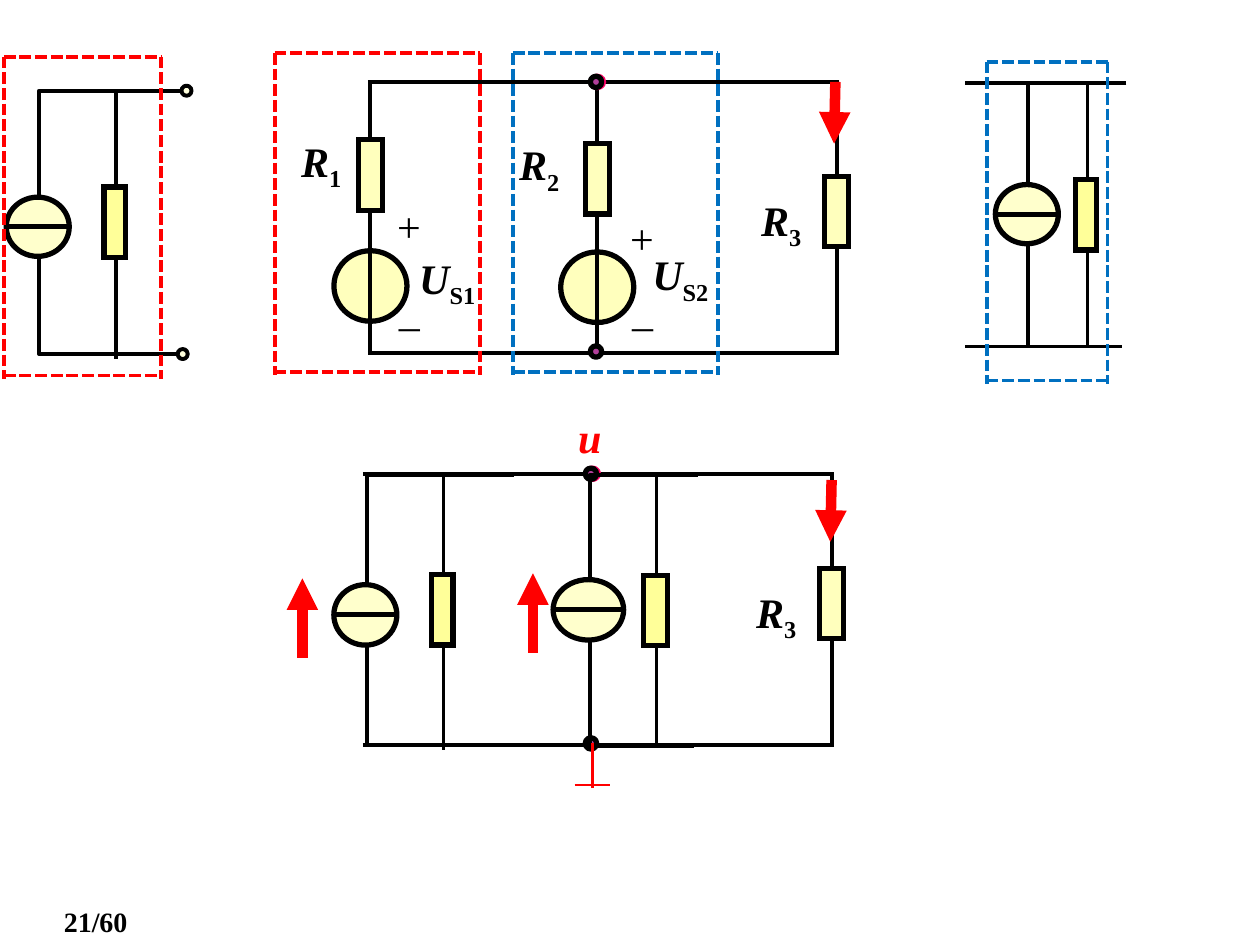
from lxml import etree
from pptx import Presentation
from pptx.dml.color import RGBColor
from pptx.enum.dml import MSO_LINE
from pptx.enum.shapes import MSO_CONNECTOR, MSO_SHAPE
from pptx.enum.text import MSO_ANCHOR, MSO_AUTO_SIZE, PP_ALIGN
from pptx.oxml.ns import qn
from pptx.util import Inches, Pt

FONT = "Times New Roman"
COLORS = {
    "black": "000000", "red": "FF0000", "blue": "0070C0", "pink": "FF0066",
    "purple": "B13F9A", "cream": "FFFFBD", "yellow": "FFFF99",
    "source": "FFFFCC", "terminal": "FFFFDD",
}


def rgb(name):
    return RGBColor.from_string(COLORS[name])


def add_text(s, text, x, y, w, h, size=24, color="black", bold=False,
             italic=False, sub="", align=PP_ALIGN.CENTER,
             anchor=MSO_ANCHOR.MIDDLE, margin=0):
    """Text with an optional upright subscript."""
    tf = s.shapes.add_textbox(Inches(x), Inches(y), Inches(w), Inches(h)).text_frame
    tf.word_wrap = False
    tf.auto_size = MSO_AUTO_SIZE.SHAPE_TO_FIT_TEXT
    tf.vertical_anchor = anchor
    tf.margin_left = tf.margin_right = Inches(margin)
    p = tf.paragraphs[0]
    p.alignment = align
    for part in filter(None, (text, sub)):
        r = p.add_run()
        r.text = part
        r.font.name, r.font.size = FONT, Pt(size)
        r.font.bold, r.font.italic = bold, italic
        r.font.color.rgb = rgb(color)
    if sub:
        r.font.italic = False
        r.font._element.set("baseline", "-25000")


def add_line(s, x1, y1, x2, y2, color="black", width=2.25, dash=False, arrow=False):
    c = s.shapes.add_connector(MSO_CONNECTOR.STRAIGHT, Inches(x1), Inches(y1),
                               Inches(x2), Inches(y2))
    c.line.color.rgb = rgb(color)
    c.line.width = Pt(width)
    if dash:
        c.line.dash_style = MSO_LINE.SQUARE_DOT
    if arrow:
        etree.SubElement(c.line._get_or_add_ln(), qn("a:tailEnd"), type="triangle")
    etree.SubElement(c._element.spPr, qn("a:effectLst"))
    return c


def add_centred(s, kind, cx, cy, w, h, fill, line="black", width=3):
    """Preset shape placed by its centre."""
    sp = s.shapes.add_shape(kind, Inches(cx - w / 2), Inches(cy - h / 2),
                            Inches(w), Inches(h))
    sp.shadow.inherit = False
    sp.fill.solid()
    sp.fill.fore_color.rgb = rgb(fill)
    sp.line.color.rgb = rgb(line)
    sp.line.width = Pt(width)
    return sp


def resistor(s, cx, cy, w=0.19, h=0.56, fill="cream"):
    sp = add_centred(s, MSO_SHAPE.RECTANGLE, cx, cy, w, h, fill)
    etree.SubElement(sp.line._get_or_add_ln(), qn("a:miter"), lim="800000")
    return sp


def circle(s, cx, cy, w, h, fill, **fmt):
    return add_centred(s, MSO_SHAPE.OVAL, cx, cy, w, h, fill, **fmt)


def dashed_frame(s, x, y, w, h, color):
    """Four dashed lines; the sides run slightly past the bottom."""
    for side in (x, x + w):
        add_line(s, side, y, side, y + h + 0.03, color, dash=True)
    for level in (y + h, y):
        add_line(s, x, level, x + w, level, color, dash=True)


def current_source(s, x, y, w, h, branch, branch_h, centre, size, res_w=0.17):
    """Current source on the left wire, in parallel with a resistor."""
    right, low_right, bottom = x + w, x + w * 0.96, y + h
    points = [(right, y), (x, y), (x, bottom), (low_right, bottom)]
    points = [(Inches(px), Inches(py)) for px, py in points]
    builder = s.shapes.build_freeform(*points[0])
    builder.add_line_segments(points[1:], close=False)
    wire = builder.convert_to_shape()
    wire.shadow.inherit = False
    wire.fill.background()
    wire.line.color.rgb = rgb("black")
    wire.line.width = Pt(2.25)

    add_line(s, x + branch, y + 0.01, x + branch, y + branch_h, width=2)
    resistor(s, x + branch - 0.01, y + h / 2, w=res_w, fill="yellow")
    cx, cy = x - 0.01, y + centre
    circle(s, cx, cy, *size, "source")
    add_line(s, cx - size[0] / 2, cy, cx + size[0] / 2, cy, width=3)


def voltage_branch(s, x, y, h, number, res_y, source_y, gap, label, plus_y, name_y):
    """Resistor in series with a voltage source, with labels."""
    circle(s, x, y + source_y, 0.58, 0.56, "cream")
    add_line(s, x, y, x, y + h)
    resistor(s, x, y + res_y)
    add_text(s, "R", x + label, y + res_y - 0.37, 0.52, 0.56, bold=True,
             italic=True, sub=number)
    add_text(s, "+", x + gap, y + plus_y, 0.39, 0.5)
    add_text(s, "–", x + gap + 0.02, 2.32, 0.36, 0.5)
    add_text(s, "U", x + gap + 0.18, y + name_y, 0.64, 0.56, bold=True,
             italic=True, sub="S" + number)


def load_loop(s, x, y, w, h):
    """Rails, the two nodes and the load branch with R3."""
    for level in (y, y + h):
        add_line(s, x, level, x + w, level)
    load_x, node_x = x + w - 0.02, x + 1.81
    load = resistor(s, load_x, y + 1.03)
    add_line(s, load_x, y, load_x, y + 0.75).end_connect(load, 0)
    add_line(s, load_x, y + 1.31, load_x, y + h).begin_connect(load, 2)
    add_text(s, "R", x + 3.02, y + 0.84, 0.52, 0.56, bold=True, italic=True, sub="3")
    circle(s, node_x + 0.01, y, 0.1, 0.09, "pink", line="pink")
    for level in (y, y + h - 0.01):
        circle(s, node_x, level, 0.09, 0.09, "purple")


def source_equivalents(s):
    """The equivalents of the two branches at the slide's sides."""
    current_source(s, 0.31, 0.72, 1.16, 2.09, 0.61, 2.13, 1.08, (0.5, 0.47))
    for cx, cy in ((1.45, 2.81), (1.48, 0.72)):
        circle(s, cx, cy, 0.08, 0.08, "terminal", width=2.25)
    current_source(s, 8.16, 0.66, 0.78, 2.09, 0.47, 2.1, 1.04, (0.5, 0.47))
    for level in (0.66, 2.75):
        add_line(s, 8.16, level, 7.66, level)


def original_circuit(s, x, y, w, h):
    voltage_branch(s, x + 1.82, y + 0.06, 2.06, "2", 0.71, 1.57, 0.16, -0.72, 0.93, 1.21)
    voltage_branch(s, x + 0.02, y, h, "1", 0.74, 1.62, 0.11, -0.65, 0.89, 1.3)
    load_loop(s, x, y, w, h)
    add_line(s, x + w - 0.03, y, x + w - 0.04, y + 0.49, "red", 6, arrow=True)


def converted_circuit(s, x, y, w, h):
    load_loop(s, x, y, w, h)
    top = y + 0.01
    current_source(s, x + 0.03, top, 1.17, 2.14, 0.61, 2.18, 1.11, (0.5, 0.48))
    current_source(s, x + 1.8, top, 0.86, 2.15, 0.53, 2.17, 1.07, (0.56, 0.48), 0.19)
    for dx, dy in ((-0.48, 1.46), (1.35, 1.42)):
        add_line(s, x + dx, y + dy, x + dx, y + dy - 0.63, "red", 6, arrow=True)
    add_line(s, x + w - 0.02, y + 0.05, x + w - 0.03, y + 0.54, "red", 6, arrow=True)
    ground_x = x + 1.82
    add_line(s, ground_x, y + h - 0.01, ground_x, y + h + 0.34, "red", 1.5)
    add_line(s, ground_x - 0.14, y + h + 0.32, ground_x + 0.14, y + h + 0.32, "red", 1.5)
    add_text(s, "u", x + 1.61, y - 0.54, 0.38, 0.5, color="red", bold=True,
             italic=True, anchor=MSO_ANCHOR.TOP)


def main():
    prs = Presentation()
    prs.slide_width, prs.slide_height = Inches(10), Inches(7.5)
    s = prs.slides.add_slide(prs.slide_layouts[6])
    add_text(s, "21/60", -0.37, 7.13, 1.48, 0.37, size=16, bold=True,
             align=PP_ALIGN.RIGHT, anchor=MSO_ANCHOR.TOP, margin=0.1)
    original_circuit(s, 2.92, 0.65, 3.74, 2.15)
    source_equivalents(s)
    for frame in ((2.18, 0.42, 1.63, 2.53, "red"), (0.03, 0.45, 1.25, 2.53, "red"),
                  (4.07, 0.42, 1.63, 2.53, "blue"), (7.83, 0.49, 0.96, 2.53, "blue")):
        dashed_frame(s, *frame)
    converted_circuit(s, 2.88, 3.76, 3.74, 2.15)
    prs.save("out.pptx")


if __name__ == "__main__":
    main()
